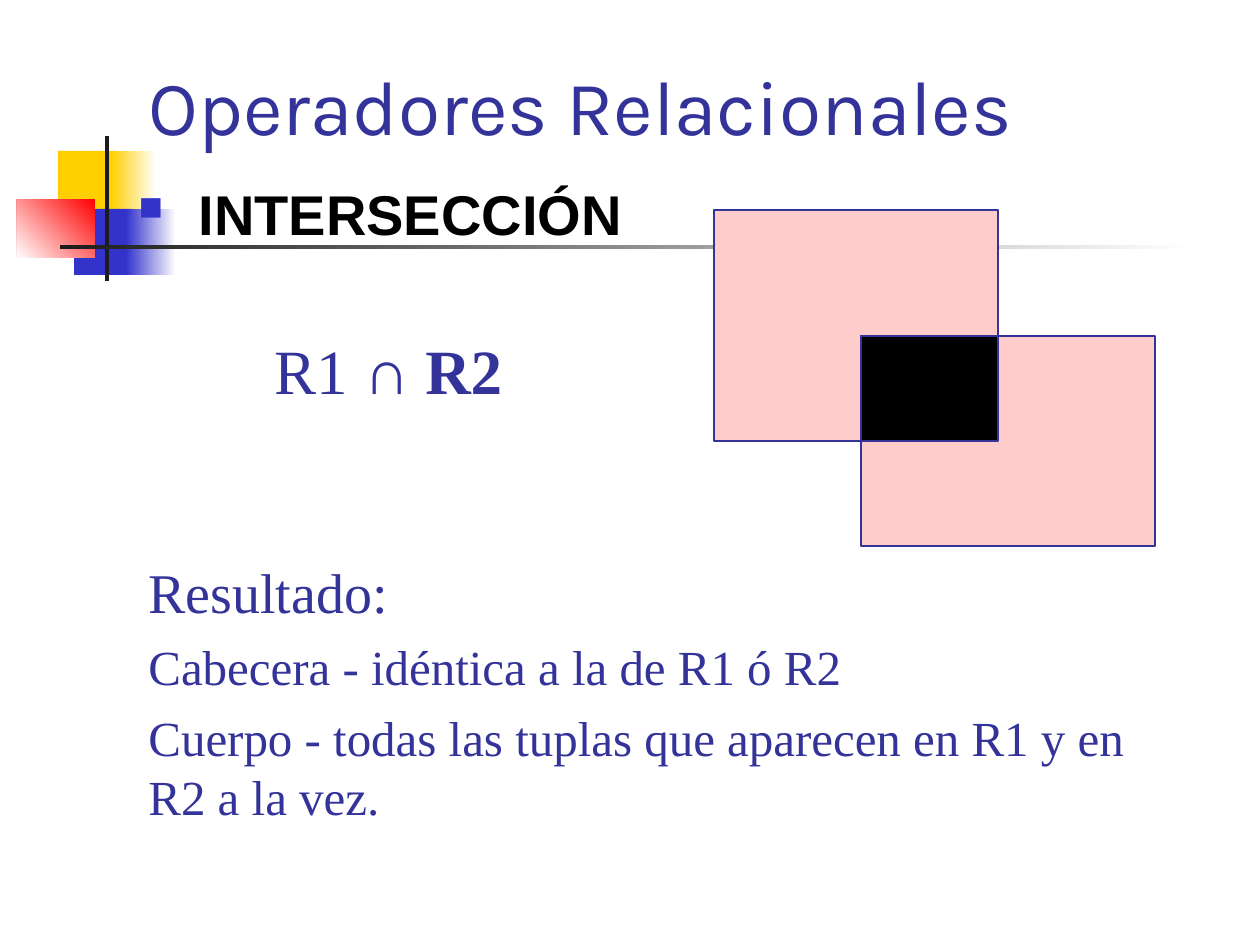
from typing import NamedTuple, Optional

from lxml.etree import SubElement
from pptx import Presentation
from pptx.dml.color import RGBColor as Rgb
from pptx.enum.shapes import MSO_SHAPE as Shape
from pptx.enum.text import MSO_ANCHOR as Anchor, MSO_AUTO_SIZE as Fit, PP_ALIGN as Align
from pptx.oxml.ns import qn
from pptx.util import Pt

PX = 914400 / 126
COLORS = {
    "white": "FFFFFF", "yellow": "FFCF01", "blue": "3333CC", "red": "FF0000",
    "dark": "1C1C1C", "ink": "333399", "pink": "FFCCCC", "black": "000000",
}
SERIF, SANS, HEAD = "Times New Roman", "Arial", "Karla"


class Box(NamedTuple):
    x: int
    y: int
    w: int
    h: int


class Block(NamedTuple):
    box: Box
    color: str
    fade: Optional[str] = None
    angle: int = 0
    line: Optional[str] = None


class Run(NamedTuple):
    text: str
    size: int
    font: str = SERIF
    color: str = "ink"
    bold: bool = False


DECOR = [
    Block(Box(58, 151, 60, 66), "yellow"),
    Block(Box(111, 151, 45, 66), "yellow", "white"),
    Block(Box(74, 209, 58, 66), "blue"),
    Block(Box(126, 209, 50, 66), "blue", "white"),
    Block(Box(17, 199, 78, 59), "red", "white", 225),
    Block(Box(105, 136, 4, 145), "dark"),
    Block(Box(60, 245, 1134, 4), "dark", "white"),
]
VENN = [
    Block(Box(714, 210, 284, 231), "pink", line="ink"),
    Block(Box(861, 336, 294, 210), "pink", line="ink"),
    Block(Box(861, 336, 137, 105), "black", line="ink"),
]
RESULT = [
    Run("Resultado:", 32),
    Run("Cabecera - idéntica a la de R1 ó R2", 28),
    Run("Cuerpo - todas las tuplas que aparecen en R1 y en R2 a la vez.", 28),
]


def emu(box: Box) -> list[int]:
    return [round(side * PX) for side in box]


def rgb(name: str) -> Rgb:
    return Rgb.from_string(COLORS[name])


def draw(shapes, block: Block) -> None:
    rect = shapes.add_shape(Shape.RECTANGLE, *emu(block.box))
    rect.shadow.inherit = False
    if block.fade:
        rect.fill.gradient()
        rect.fill.gradient_angle = block.angle
        for stop, name in zip(rect.fill.gradient_stops, (block.color, block.fade)):
            stop.color.rgb = rgb(name)
    else:
        rect.fill.solid()
        rect.fill.fore_color.rgb = rgb(block.color)
    if block.line:
        rect.line.color.rgb = rgb(block.line)
        rect.line.width = Pt(0.75)
    else:
        rect.line.fill.background()


def write(para, *runs: Run) -> None:
    for item in runs:
        run = para.add_run()
        run.text = item.text
        font = run.font
        font.size, font.name, font.bold = Pt(item.size), item.font, item.bold
        font.color.rgb = rgb(item.color)


def text_box(shapes, box: Box, wrap: bool = True):
    frame = shapes.add_textbox(*emu(box)).text_frame
    frame.word_wrap = wrap
    return frame


def add_bullet(para) -> None:
    """Give the paragraph a small blue square and a hanging indent."""
    props = para._p.get_or_add_pPr()
    indent = round(47 * PX)
    props.set("marL", str(indent))
    props.set("indent", str(-indent))
    tint = SubElement(props, qn("a:buClr"))
    SubElement(tint, qn("a:srgbClr"), val=COLORS["blue"])
    SubElement(props, qn("a:buSzPct"), val="60000")
    SubElement(props, qn("a:buChar"), char="■")


def main() -> None:
    deck = Presentation()
    deck.slide_width, deck.slide_height = round(1260 * PX), round(945 * PX)
    slide = deck.slides.add_slide(deck.slide_layouts[5])
    shapes = slide.shapes

    for block in DECOR:
        draw(shapes, block)
    venn = shapes.add_group_shape()
    for block in VENN:
        draw(venn.shapes, block)

    title = shapes.title
    title.left, title.top, title.width, title.height = emu(Box(136, 0, 1071, 157))
    frame = title.text_frame
    frame.auto_size, frame.vertical_anchor = Fit.NONE, Anchor.BOTTOM
    frame.paragraphs[0].alignment = Align.LEFT
    write(frame.paragraphs[0], Run("Operadores Relacionales", 44, HEAD))

    para = text_box(shapes, Box(126, 173, 514, 84)).paragraphs[0]
    add_bullet(para)
    write(para, Run(" ", 32, HEAD, "black"),
          Run("INTERSECCIÓN", 32, SANS, "black", True))

    frame = text_box(shapes, Box(260, 325, 257, 88), wrap=False)
    frame.vertical_anchor = Anchor.MIDDLE
    para = frame.paragraphs[0]
    para.alignment = Align.CENTER
    write(para, Run("R1 ", 36), Run("∩", 36, SANS, bold=True),
          Run(" R2", 36, bold=True))

    frame = text_box(shapes, Box(136, 551, 1040, 281))
    for i, run in enumerate(RESULT):
        para = frame.add_paragraph() if i else frame.paragraphs[0]
        if i:
            para.space_before = Pt(7)
        write(para, run)

    deck.save("out.pptx")


if __name__ == "__main__":
    main()
